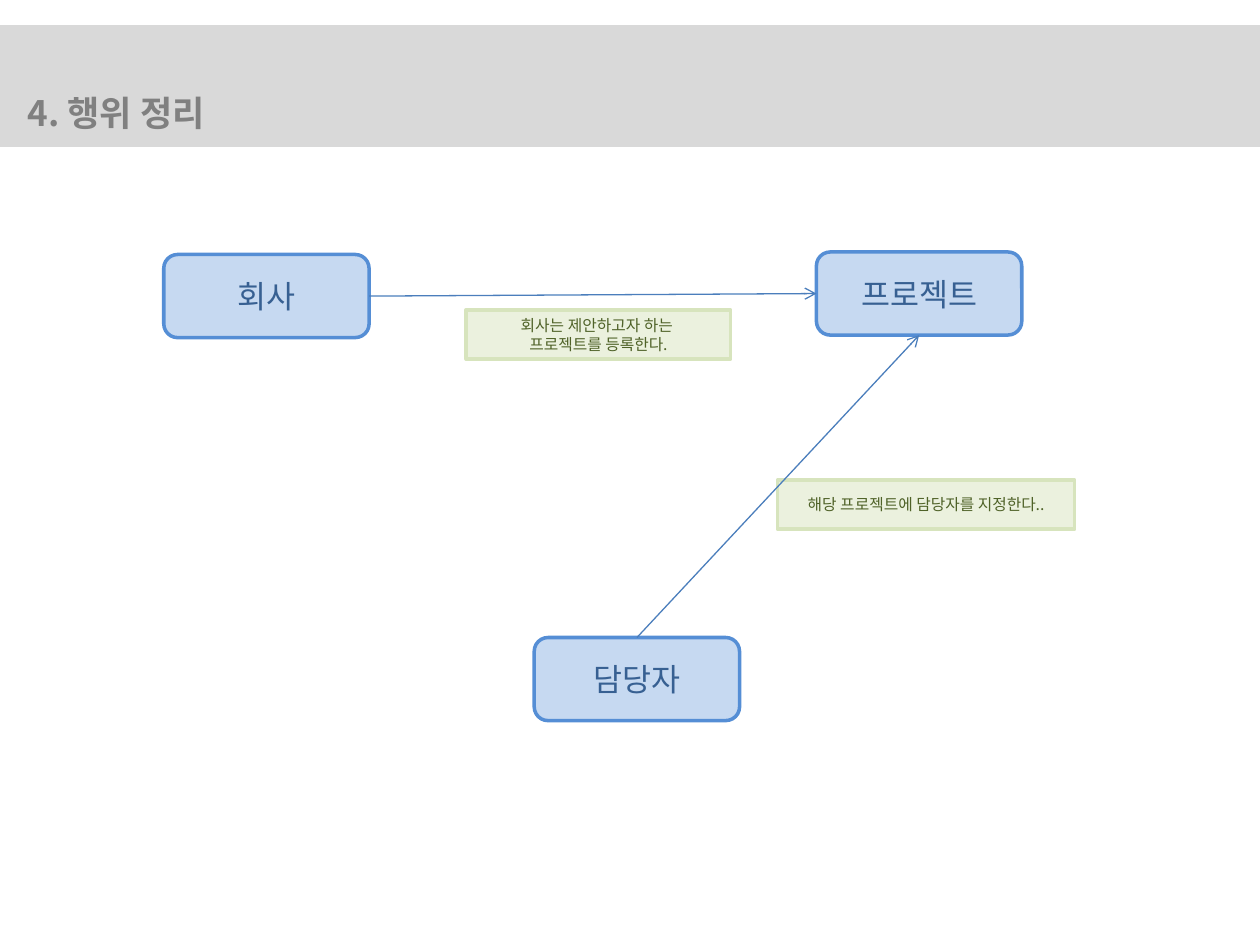
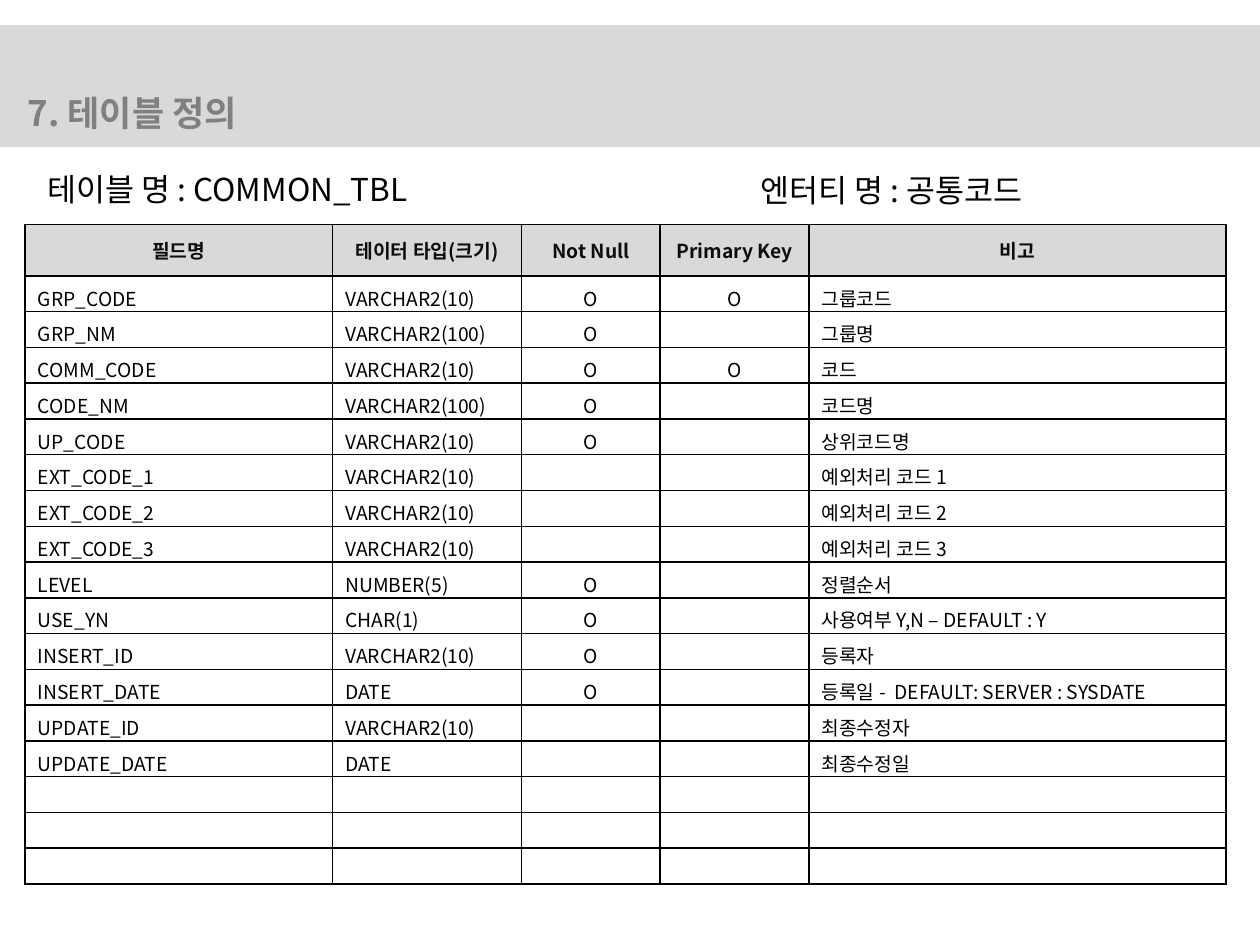
from lxml.etree import SubElement
from pptx import Presentation
from pptx.dml.color import RGBColor
from pptx.enum.shapes import MSO_CONNECTOR, MSO_SHAPE
from pptx.enum.text import MSO_ANCHOR, MSO_AUTO_SIZE, PP_ALIGN
from pptx.oxml.ns import qn
from pptx.util import Inches, Pt

FONT = "Noto Sans CJK KR"
GREY, BLACK, WHITE = "D9D9D9", "000000", "FFFFFF"
TITLE = {"size": Pt(20), "bold": True}
NODE = {"size": Pt(18)}
NOTE = {"size": Pt(9)}
HEAD = {"size": Pt(11), "bold": True}
BODY = {"size": Pt(11), "bold": False}


def write(tf, text, style, color, align=PP_ALIGN.LEFT):
    """Fill a text frame, one paragraph per line of text."""
    tf.word_wrap = True
    for i, line in enumerate(text.split("\n")):
        p = tf.paragraphs[0] if i == 0 else tf.add_paragraph()
        p.alignment = align
        r = p.add_run()
        r.text = line
        r.font.name = FONT
        r.font.color.rgb = RGBColor.from_string(color)
        for name, value in style.items():
            setattr(r.font, name, value)
        SubElement(r.font._element, qn("a:ea"), typeface=FONT)


def add_box(s, kind, at, fill, line):
    sp = s.shapes.add_shape(kind, *map(Inches, at))
    sp.shadow.inherit = False
    sp.fill.solid()
    sp.fill.fore_color.rgb = RGBColor.from_string(fill)
    sp.line.color.rgb = RGBColor.from_string(line)
    sp.line.width = Pt(2)
    sp.text_frame.vertical_anchor = MSO_ANCHOR.MIDDLE
    return sp


prs = Presentation()
prs.slide_width, prs.slide_height = Inches(10), Inches(7.5)

# Shared grey band and title
slides = []
for heading in ("4. 행위 정리", "7. 테이블 정의"):
    s = prs.slides.add_slide(prs.slide_layouts[5])
    band = add_box(s, MSO_SHAPE.RECTANGLE, (0, 0.21, 10, 0.94), GREY, GREY)
    s.shapes._spTree.insert(2, band._element)
    title = s.shapes.title
    title.left, title.top, title.width, title.height = map(Inches, (0.12, 0.68, 3.78, 0.44))
    write(title.text_frame, heading, TITLE, "808080")
    title.text_frame.vertical_anchor = MSO_ANCHOR.TOP
    title.text_frame.auto_size = MSO_AUTO_SIZE.SHAPE_TO_FIT_TEXT
    slides.append(s)
actions, definition = slides

# Actions: entities, then a note and an arrow for each link
nodes = {}
for name, x, y in (("회사", 1.3, 2.02), ("프로젝트", 6.48, 2), ("담당자", 4.24, 5.06)):
    sp = add_box(actions, MSO_SHAPE.ROUNDED_RECTANGLE, (x, y, 1.63, 0.66), "C6D9F1", "558ED5")
    write(sp.text_frame, name, NODE, "376092", PP_ALIGN.CENTER)
    nodes[name] = sp

links = [
    ("회사", 3, "프로젝트", 1, (3.7, 2.46, 2.1, 0.39), "회사는 제안하고자 하는 \n프로젝트를 등록한다."),
    ("담당자", 0, "프로젝트", 2, (6.17, 3.81, 2.36, 0.39), "해당 프로젝트에 담당자를 지정한다.."),
]
for source, out_side, target, in_side, at, note in links:
    sp = add_box(actions, MSO_SHAPE.RECTANGLE, at, "EBF1DE", "D7E4BD")
    write(sp.text_frame, note, NOTE, "4F6228", PP_ALIGN.CENTER)
    arrow = actions.shapes.add_connector(MSO_CONNECTOR.STRAIGHT, 0, 0, 0, 0)
    arrow.begin_connect(nodes[source], out_side)
    arrow.end_connect(nodes[target], in_side)
    arrow.line.color.rgb = RGBColor.from_string("4B7EBC")
    arrow.line.width = Pt(0.75)
    SubElement(arrow.line._get_or_add_ln(), qn("a:tailEnd"), type="arrow")
    SubElement(arrow._element.spPr, qn("a:effectLst"))

# Table definition
columns = [("필드명", 2.44), ("테이터 타입(크기)", 1.5), ("Not Null", 1.1), ("Primary Key", 1.18), ("비고", 3.31)]
fields = [
    ("GRP_CODE", "VARCHAR2(10)", "O", "O", "그룹코드"),
    ("GRP_NM", "VARCHAR2(100)", "O", "", "그룹명"),
    ("COMM_CODE", "VARCHAR2(10)", "O", "O", "코드"),
    ("CODE_NM", "VARCHAR2(100)", "O", "", "코드명"),
    ("UP_CODE", "VARCHAR2(10)", "O", "", "상위코드명"),
    ("EXT_CODE_1", "VARCHAR2(10)", "", "", "예외처리 코드 1"),
    ("EXT_CODE_2", "VARCHAR2(10)", "", "", "예외처리 코드 2"),
    ("EXT_CODE_3", "VARCHAR2(10)", "", "", "예외처리 코드 3"),
    ("LEVEL", "NUMBER(5)", "O", "", "정렬순서"),
    ("USE_YN", "CHAR(1)", "O", "", "사용여부 Y,N – DEFAULT : Y"),
    ("INSERT_ID", "VARCHAR2(10)", "O", "", "등록자"),
    ("INSERT_DATE", "DATE", "O", "", "등록일 -  DEFAULT: SERVER : SYSDATE"),
    ("UPDATE_ID", "VARCHAR2(10)", "", "", "최종수정자"),
    ("UPDATE_DATE", "DATE", "", "", "최종수정일"),
] + [("",) * 5] * 3
rows = [[name for name, _ in columns]] + fields

head_h, table_h = 0.41, 5.24
frame = definition.shapes.add_table(len(rows), len(columns), *map(Inches, (0.2, 1.78, 9.53, table_h)))
table = frame.table
table.horz_banding = False
for column, (_, width) in zip(table.columns, columns):
    column.width = Inches(width)

for i, row in enumerate(rows):
    is_head = i == 0
    table.rows[i].height = Inches(head_h if is_head else (table_h - head_h) / len(fields))
    for j, text in enumerate(row):
        cell = table.cell(i, j)
        cell.vertical_anchor = MSO_ANCHOR.MIDDLE
        cell.margin_top = Inches(0.03 if is_head else 0.06)
        cell.margin_bottom = Inches(0.03 if is_head else 0)
        tcPr = cell._tc.get_or_add_tcPr()
        for side in ("a:lnL", "a:lnR", "a:lnT", "a:lnB"):
            ln = SubElement(tcPr, qn(side), w=str(Pt(1)))
            SubElement(SubElement(ln, qn("a:solidFill")), qn("a:srgbClr"), val=BLACK)
        cell.fill.solid()
        cell.fill.fore_color.rgb = RGBColor.from_string(GREY if is_head else WHITE)
        if text:
            align = PP_ALIGN.CENTER if is_head or j in (2, 3) else PP_ALIGN.LEFT
            write(cell.text_frame, text, HEAD if is_head else BODY, "0D0D0D" if is_head else BLACK, align)
        else:
            SubElement(cell.text_frame.paragraphs[0]._p, qn("a:endParaRPr"), sz="1100")

for text, x, y in (("테이블 명 : COMMON_TBL", 0.28, 1.3), ("엔터티 명 : 공통코드", 5.94, 1.31)):
    label = definition.shapes.add_textbox(*map(Inches, (x, y, 3.78, 0.4)))
    write(label.text_frame, text, NODE, BLACK)
    label.text_frame.auto_size = MSO_AUTO_SIZE.SHAPE_TO_FIT_TEXT

prs.save("out.pptx")
